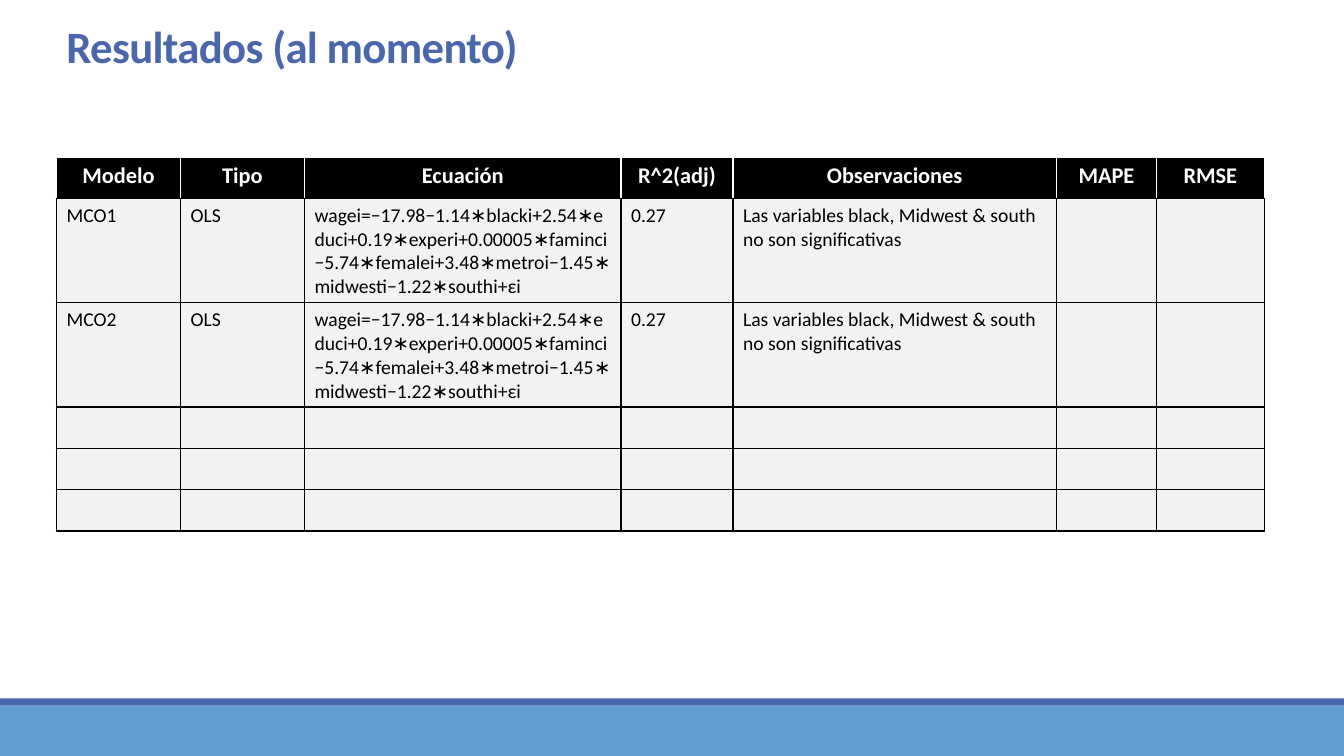
from lxml.etree import SubElement
from pptx import Presentation
from pptx.dml.color import RGBColor
from pptx.enum.shapes import MSO_SHAPE
from pptx.enum.text import PP_ALIGN
from pptx.oxml.ns import qn
from pptx.util import Inches, Pt

TITLE = "Resultados (al momento)"
HEADINGS = ["Modelo", "Tipo", "Ecuación", "R^2(adj)", "Observaciones", "MAPE", "RMSE"]
EQUATION = (
    "wagei=−17.98−1.14∗blacki+2.54∗educi+0.19∗experi+0.00005∗faminci"
    "−5.74∗femalei+3.48∗metroi−1.45∗midwesti−1.22∗southi+εi"
)
REMARK = "Las variables black, Midwest & south no son significativas"
MODELS = [[name, "OLS", EQUATION, "0.27", REMARK, "", ""] for name in ("MCO1", "MCO2")]
EMPTY_ROWS = 3

COLUMN_WIDTHS = [1.23, 1.23, 3.14, 1.11, 3.21, 0.99, 1.07]
ROW_HEIGHT = 0.41
LEFT = 0.56
FOOTER_BANDS = [(7, 0.5, "629DD1"), (6.93, 0.07, "4A66AC")]  # top, height, colour
BLUE, BLACK, WHITE, GREY = "4A66AC", "000000", "FFFFFF", "F2F2F2"


def paint(colour_format, colour):
    colour_format.rgb = RGBColor.from_string(colour)


def fill_solid(target, colour):
    target.fill.solid()
    paint(target.fill.fore_color, colour)


def style_text(paragraph, size, colour, bold=False):
    for run in paragraph.runs:
        run.font.name = "Calibri"
        run.font.size = Pt(size)
        run.font.bold = bold
        paint(run.font.color, colour)


def add_borders(cell, side_colour, bottom_colour):
    """Draw 1 pt borders; the bottom one may differ from the other sides."""
    properties = cell._tc.get_or_add_tcPr()
    for side in ("L", "R", "T", "B"):
        line = SubElement(properties, qn(f"a:ln{side}"), w=str(Pt(1)))
        fill = SubElement(line, qn("a:solidFill"))
        colour = bottom_colour if side == "B" else side_colour
        SubElement(fill, qn("a:srgbClr"), val=colour)


def add_footer(slide, slide_width):
    for top, height, colour in FOOTER_BANDS:
        band = slide.shapes.add_shape(
            MSO_SHAPE.RECTANGLE, 0, Inches(top), slide_width, Inches(height)
        )
        band.shadow.inherit = False
        fill_solid(band, colour)
        band.line.fill.background()


def add_title(slide):
    title = slide.shapes.add_textbox(Inches(LEFT), Inches(0.22), Inches(11.19), Inches(0.65))
    title.text_frame.word_wrap = True
    title.text_frame.text = TITLE
    heading = title.text_frame.paragraphs[0]
    heading.line_spacing = 0.85
    style_text(heading, 32, BLUE, bold=True)
    heading.runs[0].font._element.set("spc", "-50")


def add_results(slide):
    rows = [HEADINGS] + MODELS + [[""] * len(HEADINGS)] * EMPTY_ROWS
    results = slide.shapes.add_table(
        len(rows), len(HEADINGS), Inches(LEFT), Inches(1.56),
        Inches(sum(COLUMN_WIDTHS)), Inches(ROW_HEIGHT * len(rows)),
    ).table
    for column, width in zip(results.columns, COLUMN_WIDTHS):
        column.width = Inches(width)
    for row_index, values in enumerate(rows):
        is_header = row_index == 0
        results.rows[row_index].height = Inches(ROW_HEIGHT)
        for column_index, value in enumerate(values):
            cell = results.cell(row_index, column_index)
            add_borders(cell, WHITE if is_header else BLACK, BLACK)
            fill_solid(cell, BLACK if is_header else GREY)
            if not value:
                continue
            cell.text_frame.text = value
            paragraph = cell.text_frame.paragraphs[0]
            if is_header:
                paragraph.alignment = PP_ALIGN.CENTER
                style_text(paragraph, 16, WHITE, bold=True)
            else:
                style_text(paragraph, 14, BLACK)


def main():
    deck = Presentation()
    deck.slide_width, deck.slide_height = Inches(13.33), Inches(7.5)
    slide = deck.slides.add_slide(deck.slide_layouts[6])
    add_footer(slide, deck.slide_width)
    add_title(slide)
    add_results(slide)
    deck.save("out.pptx")


if __name__ == "__main__":
    main()
